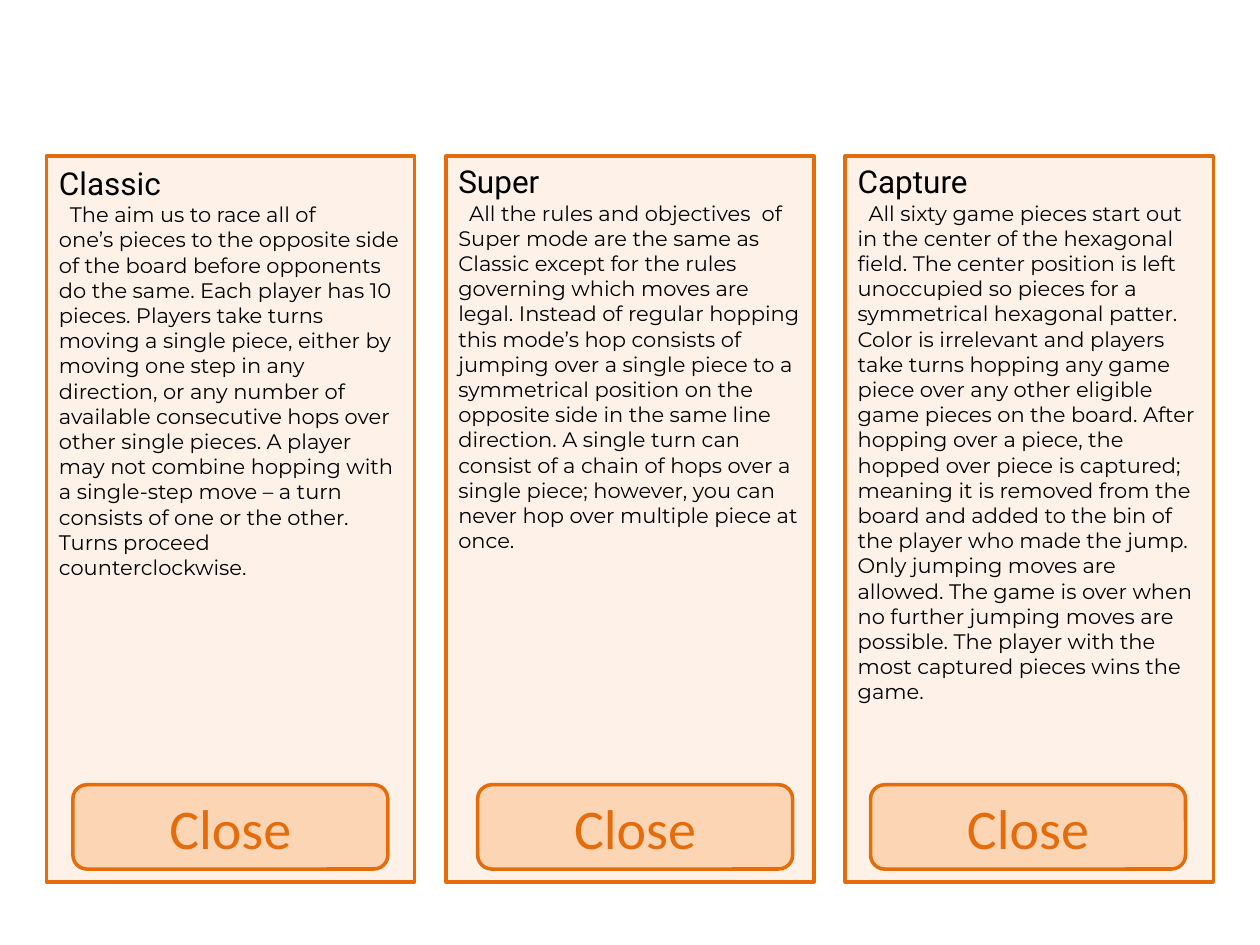
from pptx import Presentation
from pptx.dml.color import RGBColor
from pptx.enum.shapes import MSO_SHAPE as Shape
from pptx.enum.text import MSO_ANCHOR as Anchor, MSO_AUTO_SIZE as AutoSize, PP_ALIGN as Align
from pptx.util import Cm, Pt

MODES = [
    {"name": "Classic", "top": 3.18, "height": 9.25, "button_inset": 0.53,
     "rules": "The aim us to race all of\vone’s pieces to the opposite side of the board before "
              "opponents do the same. Each player has 10 pieces. Players take turns moving a single "
              "piece, either by moving one step in any direction, or any number of available "
              "consecutive hops over other single pieces. A player may not combine hopping with a "
              "single-step move – a turn consists of one or the other. Turns proceed "
              "counterclockwise."},
    {"name": "Super", "top": 3.15, "height": 8.71, "button_inset": 0.64,
     "rules": "All the rules and objectives  of Super mode are the same as Classic except for the "
              "rules governing which moves are legal. Instead of regular hopping this mode’s hop "
              "consists of jumping over a single piece to a symmetrical position on the opposite "
              "side in the same line direction. A single turn can consist of a chain of hops over a "
              "single piece; however, you can never hop over multiple piece at once."},
    {"name": "Capture", "top": 3.15, "height": 12.32, "button_inset": 0.51,
     "rules": "All sixty game pieces start out in the center of the hexagonal field. The center "
              "position is left unoccupied so pieces for a symmetrical hexagonal patter. Color is "
              "irrelevant and players take turns hopping any game piece over any other eligible "
              "game pieces on the board. After hopping over a piece, the hopped over piece is "
              "captured; meaning it is removed from the board and added to the bin of the player "
              "who made the jump. Only jumping moves are allowed. The game is over when no further "
              "jumping moves are possible. The player with the most captured pieces wins the game."},
]
BUTTON_LABEL = "Close"
ORANGE, CREAM, PEACH, BLACK = "E46C0A", "FEF2E8", "FCD5B5", "000000"
CARD_LEFT, CARD_TOP, CARD_WIDTH, CARD_HEIGHT, CARD_PITCH = 0.94, 3.15, 7.42, 14.63, 8.05
BUTTON_TOP, BUTTON_WIDTH, BUTTON_HEIGHT = 15.82, 6.35, 1.7


def color(hex_code):
    return RGBColor.from_string(hex_code)


def write(paragraph, text, size, font, ink=BLACK, align=Align.LEFT, indent=0):
    paragraph.text = text
    paragraph.alignment = align
    if indent:
        properties = paragraph._p.get_or_add_pPr()
        properties.set("marL", "0")
        properties.set("indent", str(Cm(indent)))
    for run in paragraph.runs:
        run.font.size = Pt(size)
        run.font.name = font
        run.font.color.rgb = color(ink)


def add_panel(kind, left, top, width, height, fill):
    panel = slide.shapes.add_shape(kind, Cm(left), Cm(top), Cm(width), Cm(height))
    panel.shadow.inherit = False
    panel.fill.solid()
    panel.fill.fore_color.rgb = color(fill)
    panel.line.color.rgb = color(ORANGE)
    panel.line.width = Pt(2)
    return panel


def add_rules(mode, left):
    rules = slide.shapes.add_textbox(Cm(left), Cm(mode["top"]), Cm(CARD_WIDTH), Cm(mode["height"]))
    frame = rules.text_frame
    frame.word_wrap = True
    frame.auto_size = AutoSize.SHAPE_TO_FIT_TEXT
    write(frame.paragraphs[0], mode["name"], size=18, font="Roboto")
    write(frame.add_paragraph(), mode["rules"], size=12, font="Montserrat", indent=0.22)


def add_button(left):
    button = add_panel(Shape.ROUNDED_RECTANGLE, left, BUTTON_TOP, BUTTON_WIDTH, BUTTON_HEIGHT, PEACH)
    frame = button.text_frame
    frame.vertical_anchor = Anchor.MIDDLE
    write(frame.paragraphs[0], BUTTON_LABEL, size=32, font="Calibri", ink=ORANGE, align=Align.CENTER)


deck = Presentation()
deck.slide_width, deck.slide_height = Cm(25.4), Cm(19.05)
slide = deck.slides.add_slide(deck.slide_layouts[6])

for column, mode in enumerate(MODES):
    left = CARD_LEFT + column * CARD_PITCH
    add_panel(Shape.RECTANGLE, left, CARD_TOP, CARD_WIDTH, CARD_HEIGHT, CREAM)
    add_rules(mode, left)
    add_button(left + mode["button_inset"])

deck.save("out.pptx")
